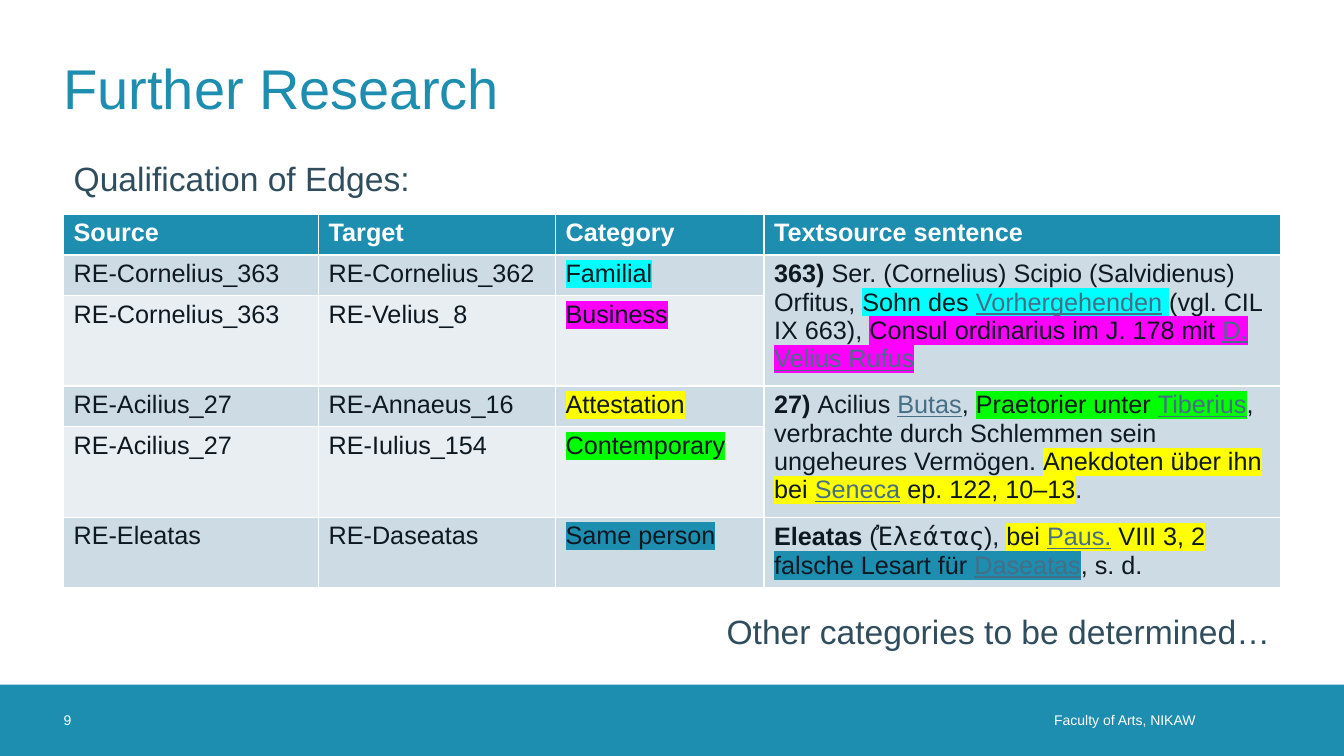
from dataclasses import dataclass
from typing import Optional

import lxml.etree
import pptx
import pptx.dml.color
import pptx.enum.shapes
import pptx.enum.text
import pptx.oxml.ns
import pptx.util

Pt = pptx.util.Pt
RGBColor = pptx.dml.color.RGBColor
Align = pptx.enum.text.PP_ALIGN
Anchor = pptx.enum.text.MSO_ANCHOR

TEAL = RGBColor(0x1D, 0x8D, 0xB0)
SLATE = RGBColor(0x2F, 0x4D, 0x5D)
INK = RGBColor(0x0E, 0x18, 0x20)
LINK = RGBColor(0x46, 0x6E, 0x87)
WHITE = RGBColor(0xFF, 0xFF, 0xFF)
DARK = RGBColor(0xCD, 0xDB, 0xE4)
LIGHT = RGBColor(0xE8, 0xEE, 0xF2)
CYAN = RGBColor(0x00, 0xFF, 0xFF)
PINK = RGBColor(0xFF, 0x00, 0xFF)
YELLOW = RGBColor(0xFF, 0xFF, 0x00)
GREEN = RGBColor(0x00, 0xFF, 0x00)

LEFT, WIDTH = 45.4, 869
BAR_TOP, BAR_HIGH = 489, 51


@dataclass
class Part:
    text: str
    mark: Optional[RGBColor] = None
    bold: bool = False
    link: bool = False
    face: str = "Arial"


@dataclass
class Edge:
    source: str
    target: str
    kind: str
    mark: RGBColor
    high: float
    quote: Optional[list[Part]] = None
    span: int = 1


@dataclass
class Label:
    text: str
    left: float
    width: float
    inset: float
    align: Align


HEADS = ["Source", "Target", "Category", "Textsource sentence"]
COLS = [182.2, 169.2, 149, 368.6]
HEAD_HIGH = 29.2

EDGES = [
    Edge("RE-Cornelius_363", "RE-Cornelius_362", "Familial", CYAN, 29.2, [
        Part("363) ", bold=True),
        Part("Ser. (Cornelius) Scipio (Salvidienus) Orfitus, "),
        Part("Sohn des ", CYAN),
        Part("Vorhergehenden", CYAN, link=True),
        Part(" ", CYAN),
        Part("(vgl. CIL IX 663), "),
        Part("Consul ordinarius im J. 178 mit ", PINK),
        Part("D. Velius Rufus", PINK, link=True),
    ], 2),
    Edge("RE-Cornelius_363", "RE-Velius_8", "Business", PINK, 58.6),
    Edge("RE-Acilius_27", "RE-Annaeus_16", "Attestation", YELLOW, 29.2, [
        Part("27) ", bold=True),
        Part("Acilius "),
        Part("Butas", link=True),
        Part(", "),
        Part("Praetorier unter ", GREEN),
        Part("Tiberius", GREEN, link=True),
        Part(", verbrachte durch Schlemmen sein ungeheures Vermögen. "),
        Part("Anekdoten über ihn bei ", YELLOW),
        Part("Seneca", YELLOW, link=True),
        Part(" ep. 122, 10–13", YELLOW),
        Part("."),
    ], 2),
    Edge("RE-Acilius_27", "RE-Iulius_154", "Contemporary", GREEN, 58.6),
    Edge("RE-Eleatas", "RE-Daseatas", "Same person", TEAL, 48.4, [
        Part("Eleatas", bold=True),
        Part(" ("),
        Part("Ἐλεάτας", face="DejaVu Sans Mono"),
        Part("), "),
        Part("bei ", YELLOW),
        Part("Paus.", YELLOW, link=True),
        Part(" VIII 3, 2 ", YELLOW),
        Part("falsche Lesart für ", TEAL),
        Part("Daseatas", TEAL, link=True),
        Part(", s. d."),
    ]),
]

LABELS = [
    Label("Faculty of Arts, NIKAW", 475.2, 393.1, 14.4, Align.RIGHT),
    Label("9", LEFT, 51, 0, Align.LEFT),
]


def write(para, text: str, *, size: float = 18, color: RGBColor = INK,
          bold: bool = False, line: bool = False, face: str = "Arial",
          mark: Optional[RGBColor] = None) -> None:
    run = para.add_run()
    run.text = text
    font = run.font
    font.name, font.size = face, Pt(size)
    font.bold, font.underline = bold, line
    font.color.rgb = color
    if mark is not None:
        qn = pptx.oxml.ns.qn
        glow = lxml.etree.Element(qn("a:highlight"))
        lxml.etree.SubElement(glow, qn("a:srgbClr"), val=str(mark))
        run._r.rPr.find(qn("a:solidFill")).addnext(glow)


def place(shape, left: float, top: float, width: float, high: float) -> None:
    shape.left, shape.top = Pt(left), Pt(top)
    shape.width, shape.height = Pt(width), Pt(high)


def inset(frame, left: float, right: float) -> None:
    frame.margin_left, frame.margin_right = Pt(left), Pt(right)
    frame.margin_top = frame.margin_bottom = Pt(0)
    frame.vertical_anchor = Anchor.MIDDLE
    frame.word_wrap = True


def draw_bar(slide) -> None:
    bar = slide.shapes.add_shape(
        pptx.enum.shapes.MSO_SHAPE.RECTANGLE,
        Pt(0), Pt(BAR_TOP), Pt(960), Pt(BAR_HIGH))
    bar.shadow.inherit = False
    bar.fill.solid()
    bar.fill.fore_color.rgb = TEAL
    bar.line.fill.background()


def draw_label(slide, label: Label) -> None:
    box = slide.shapes.add_textbox(
        Pt(label.left), Pt(BAR_TOP), Pt(label.width), Pt(BAR_HIGH))
    inset(box.text_frame, 0, label.inset)
    para = box.text_frame.paragraphs[0]
    para.alignment = label.align
    write(para, label.text, size=10, color=WHITE)


def draw_title(slide) -> None:
    title = slide.shapes.title
    place(title, LEFT, 16.6, WIDTH, 90.7)
    inset(title.text_frame, 0, 0)
    para = title.text_frame.paragraphs[0]
    para.alignment = Align.LEFT
    write(para, "Further Research", size=40, color=TEAL)


def draw_body(slide) -> None:
    body = slide.placeholders[1]
    place(body, LEFT, 112.3, WIDTH, 376.6)
    frame = body.text_frame
    frame.auto_size = pptx.enum.text.MSO_AUTO_SIZE.NONE
    frame.vertical_anchor = Anchor.TOP
    lines = [("Qualification of Edges:", Align.LEFT, 0),
             ("Other categories to be determined…", Align.RIGHT, 298)]
    for index, (text, align, gap) in enumerate(lines):
        para = frame.add_paragraph() if index else frame.paragraphs[0]
        props = para._p.get_or_add_pPr()
        props.set("marL", "0")
        props.set("indent", "0")
        lxml.etree.SubElement(props, pptx.oxml.ns.qn("a:buNone"))
        para.alignment, para.line_spacing = align, 0.9
        para.space_before = Pt(gap)
        write(para, text, size=24, color=SLATE)


def fill_cell(cell, fill: RGBColor, parts: list[Part],
              color: RGBColor = INK) -> None:
    cell.fill.solid()
    cell.fill.fore_color.rgb = fill
    for part in parts:
        write(cell.text_frame.paragraphs[0], part.text, bold=part.bold,
              color=LINK if part.link else color, line=part.link,
              face=part.face, mark=part.mark)


def draw_table(slide) -> None:
    highs = [HEAD_HIGH] + [edge.high for edge in EDGES]
    table = slide.shapes.add_table(
        len(highs), len(COLS), Pt(LEFT), Pt(152.9), Pt(WIDTH),
        Pt(sum(highs))).table
    for col, width in zip(table.columns, COLS):
        col.width = Pt(width)
    for row, high in zip(table.rows, highs):
        row.height = Pt(high)
    for col, head in enumerate(HEADS):
        fill_cell(table.cell(0, col), TEAL, [Part(head, bold=True)], WHITE)
    for row, edge in enumerate(EDGES, 1):
        cells = [[Part(edge.source)], [Part(edge.target)],
                 [Part(edge.kind, edge.mark)], edge.quote or []]
        for col, parts in enumerate(cells):
            fill_cell(table.cell(row, col), DARK if row % 2 else LIGHT, parts)
        if edge.span > 1:
            table.cell(row, 3).merge(table.cell(row + edge.span - 1, 3))


def main() -> None:
    deck = pptx.Presentation()
    deck.slide_width, deck.slide_height = Pt(960), Pt(540)
    slide = deck.slides.add_slide(deck.slide_layouts[1])
    draw_bar(slide)
    draw_body(slide)
    for label in LABELS:
        draw_label(slide, label)
    draw_title(slide)
    draw_table(slide)
    deck.save("out.pptx")


if __name__ == "__main__":
    main()
